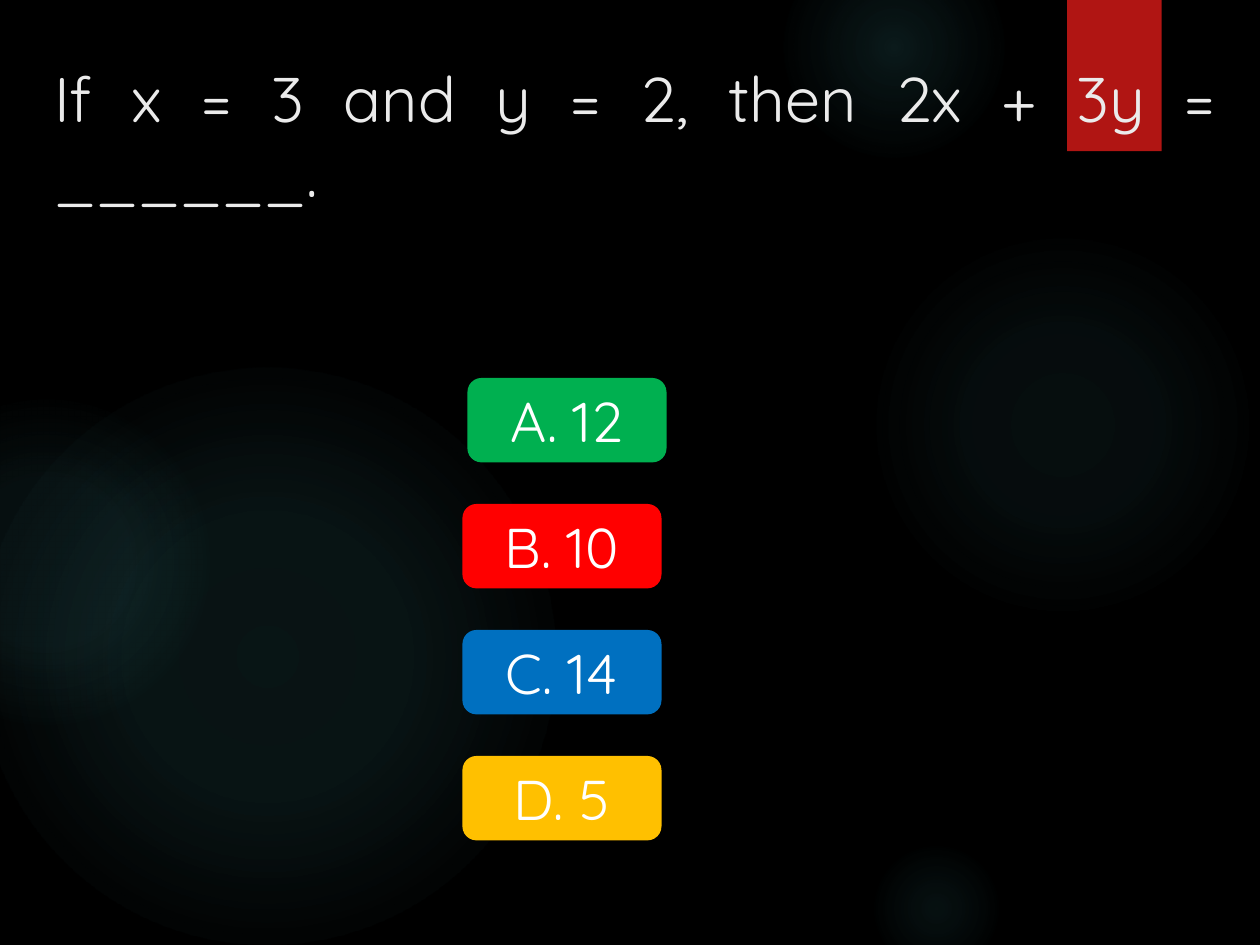
import pptx
import pptx.util
import pptx.oxml
import pptx.oxml.ns
from pptx.dml.color import RGBColor
from pptx.enum.shapes import MSO_SHAPE
from pptx.enum.text import MSO_ANCHOR, MSO_AUTO_SIZE, PP_ALIGN
from pptx.util import Inches, Pt

FONT = "Quicksand"
BLACK = RGBColor(0x00, 0x00, 0x00)
WHITE = RGBColor(0xFF, 0xFF, 0xFF)
OFF_WHITE = RGBColor(0xEB, 0xEB, 0xEB)
TEAL = RGBColor(0x50, 0xB9, 0xC1)
CRIMSON = RGBColor(0xB0, 0x15, 0x13)
GREEN = RGBColor(0x00, 0xB0, 0x50)
RED = RGBColor(0xFF, 0x00, 0x00)
BLUE = RGBColor(0x00, 0x70, 0xC0)
AMBER = RGBColor(0xFF, 0xC0, 0x00)

# Left, top, diameter, then (position %, opacity %) gradient stops
GLOWS = [
    (6.89, 1.83, 3.08, [(0, 7), (36, 6), (69, 0)]),
    (6.22, -0.5, 1.75, [(0, 14), (36, 7), (73, 0)]),
    (6.89, 6.67, 1.08, [(0, 9), (36, 5), (66, 0)]),
    (-0.17, 2.92, 4.58, [(0, 11), (36, 10), (75, 0)]),
    (-0.92, 3.17, 2.58, [(0, 8), (36, 8), (72, 0)]),
]

# Left, label, colour
ANSWERS = [
    (3.71, "A. 12", GREEN),
    (3.67, "B. 10", RED),
    (3.67, "C. 14", BLUE),
    (3.67, "D. 5", AMBER),
]


def add_shape(s, kind, left, top, width, height, color=None):
    sp = s.shapes.add_shape(
        kind, Inches(left), Inches(top), Inches(width), Inches(height))
    sp.shadow.inherit = False
    sp.line.fill.background()
    if color is not None:
        sp.fill.solid()
        sp.fill.fore_color.rgb = color
    return sp


def add_glow(s, left, top, size, stops):
    sp = add_shape(s, MSO_SHAPE.OVAL, left, top, size, size)
    stop_xml = "".join(
        f'<a:gs pos="{pos * 1000}"><a:srgbClr val="{TEAL}">'
        f'<a:alpha val="{alpha * 1000}"/></a:srgbClr></a:gs>'
        for pos, alpha in stops)
    gradient = pptx.oxml.parse_xml(
        f'<a:gradFill {pptx.oxml.ns.nsdecls("a")} rotWithShape="1">'
        f'<a:gsLst>{stop_xml}</a:gsLst><a:path path="circle">'
        '<a:fillToRect l="50000" t="50000" r="50000" b="50000"/>'
        '</a:path></a:gradFill>')
    sp.element.spPr.find(pptx.oxml.ns.qn("a:prstGeom")).addnext(gradient)


def write_text(tf, text, size, color, align, anchor):
    tf.word_wrap = True
    tf.auto_size = MSO_AUTO_SIZE.NONE
    tf.vertical_anchor = anchor
    p = tf.paragraphs[0]
    p.alignment = align
    r = p.add_run()
    r.text = text
    r.font.name = FONT
    r.font.size = Pt(size)
    r.font.color.rgb = color


def place_title(s, text):
    title = s.shapes.title
    title.left, title.top = Inches(0.33), Inches(0.42)
    title.width, title.height = Inches(9.42), Inches(2.17)
    write_text(title.text_frame, text, 36, OFF_WHITE,
               PP_ALIGN.JUSTIFY, MSO_ANCHOR.TOP)
    # Bring the title in front of the decoration
    s.shapes.element.append(title.element)


def add_answer(s, left, top, label, color):
    sp = add_shape(s, MSO_SHAPE.ROUNDED_RECTANGLE, left, top, 1.58, 0.67, color)
    write_text(sp.text_frame, label, 32, WHITE,
               PP_ALIGN.CENTER, MSO_ANCHOR.MIDDLE)


def main():
    prs = pptx.Presentation()
    prs.slide_width, prs.slide_height = Inches(10), Inches(7.5)
    s = prs.slides.add_slide(prs.slide_layouts[5])
    s.background.fill.solid()
    s.background.fill.fore_color.rgb = BLACK

    # Background glows and the bookmark tab
    for glow in GLOWS:
        add_glow(s, *glow)
    add_shape(s, MSO_SHAPE.RECTANGLE, 8.47, 0, 0.75, 1.2, CRIMSON)

    # Question
    place_title(s, "If x = 3 and y = 2, then 2x + 3y = ______.")

    # Answer buttons, one inch apart
    for row, (left, label, color) in enumerate(ANSWERS):
        add_answer(s, left, 3 + row, label, color)

    prs.save("out.pptx")


if __name__ == "__main__":
    main()
